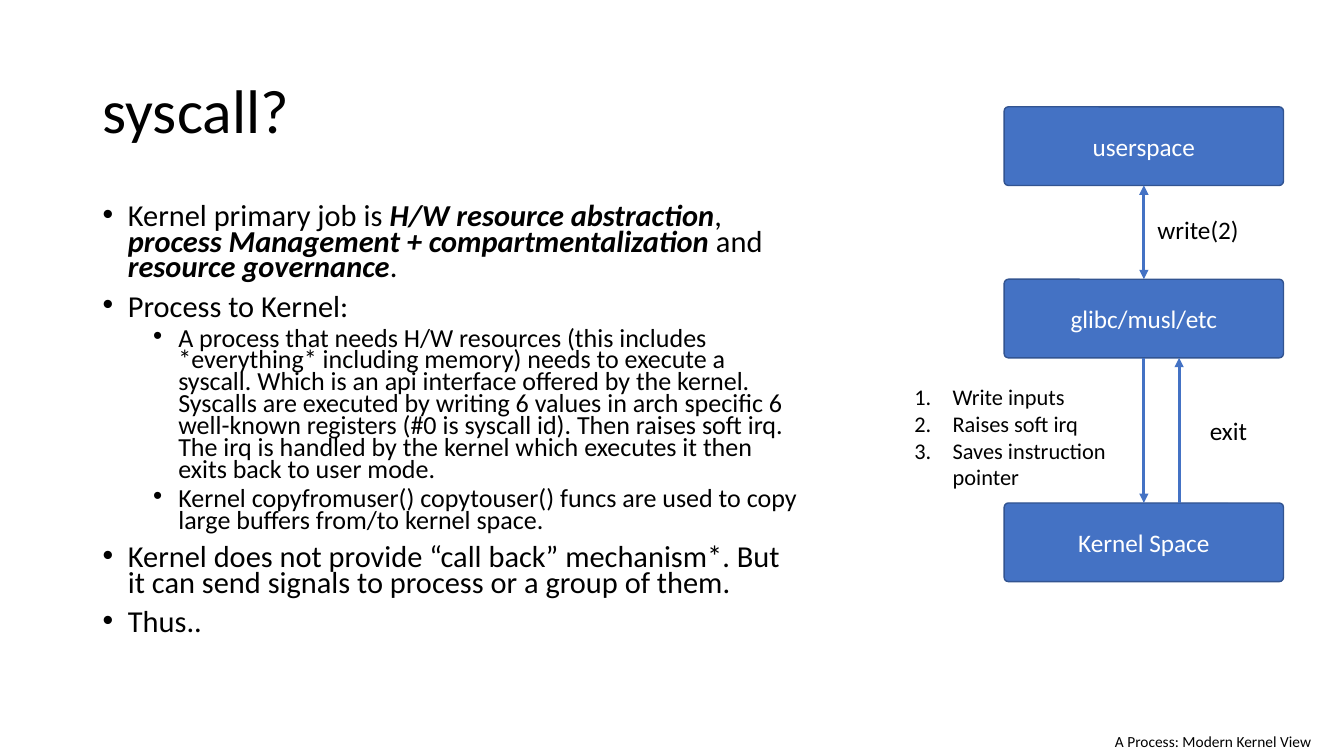
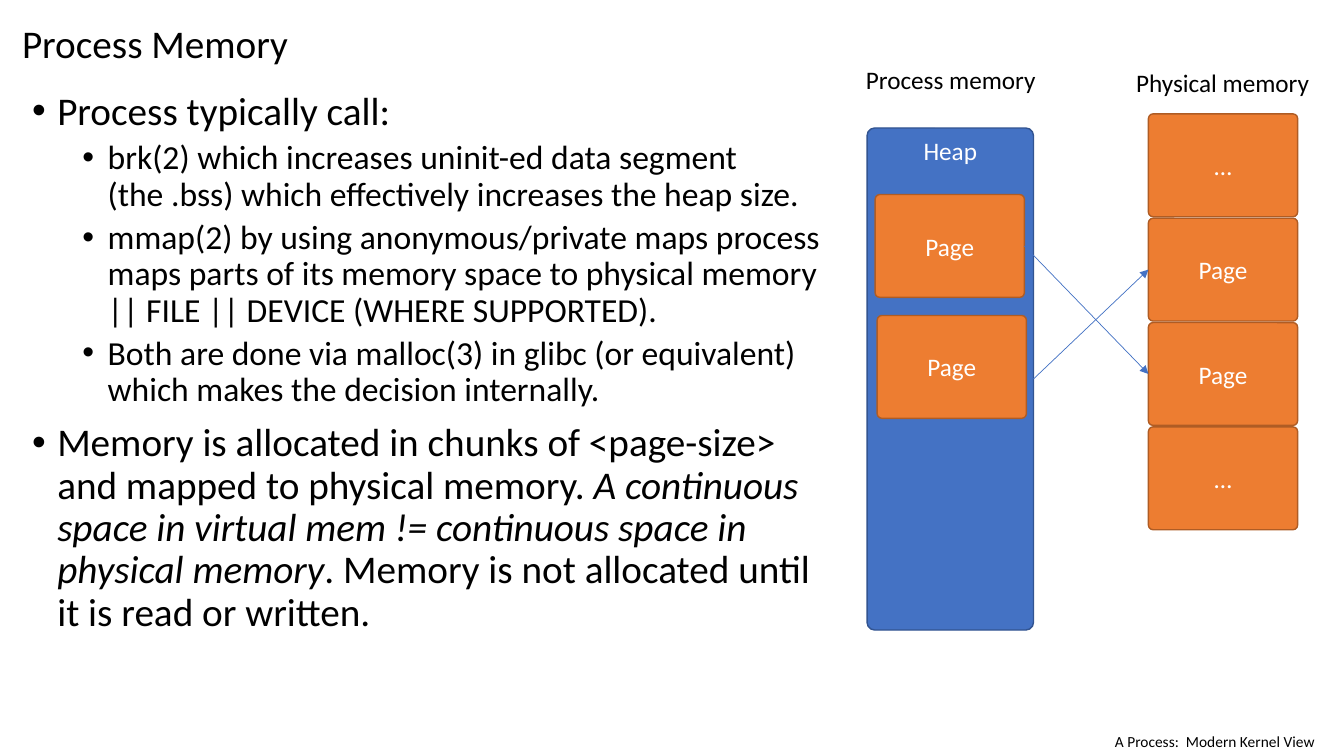
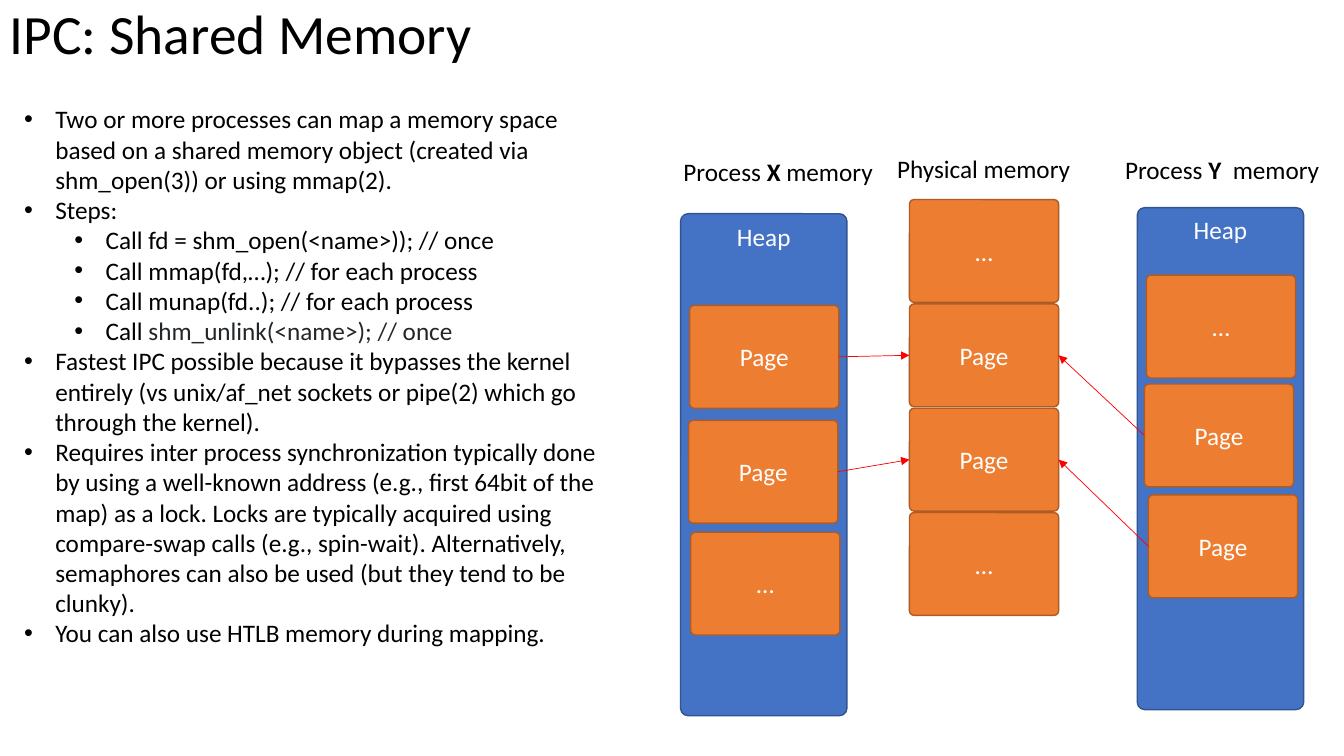
from dataclasses import dataclass

from lxml.etree import SubElement
from pptx import Presentation
from pptx.dml.color import RGBColor
from pptx.enum.shapes import MSO_CONNECTOR, MSO_SHAPE
from pptx.enum.text import MSO_ANCHOR, MSO_AUTO_SIZE, PP_ALIGN
from pptx.oxml.ns import qn
from pptx.util import Inches, Pt


@dataclass(frozen=True)
class Theme:
    """Colours and type sizes shared by all slides."""

    font: str = "Calibri"
    text: str = "000000"
    code: str = "232629"
    on_fill: str = "FFFFFF"
    blue: str = "4472C4"
    blue_edge: str = "325491"
    orange: str = "ED7D31"
    orange_edge: str = "AF5C24"
    red: str = "FF0000"
    label_size: float = 18
    step_size: float = 16
    footer_size: float = 11
    edge_width: float = 1
    thin_line: float = 0.5
    thick_line: float = 2.25


THEME = Theme()


@dataclass(frozen=True)
class Box:
    """A rectangle in inches."""

    left: float
    top: float
    width: float
    height: float

    @property
    def right_middle(self):
        """Return the middle of the right edge."""
        return self.left + self.width, self.top + self.height / 2

    @property
    def left_middle(self):
        """Return the middle of the left edge."""
        return self.left, self.top + self.height / 2

    def inner(self, across, down, width, height):
        """Return a box placed relative to this one."""
        return Box(self.left + across, self.top + down, width, height)

    def lengths(self):
        """Return the four measures as lengths."""
        return [Inches(value) for value in (self.left, self.top, self.width, self.height)]


@dataclass(frozen=True)
class Span:
    """A stretch of text with one look."""

    text: str
    bold: bool = False
    italic: bool = False
    color: str = THEME.text


@dataclass(frozen=True)
class ListStyle:
    """Sizes, spacing and indents of a list, by level."""

    sizes: tuple
    hang: float = 0.25
    line_spacing: float = 1.0
    space_before: tuple = (0, 0)
    numbered: bool = False


def fill_paragraph(para, spans, size):
    """Write spans into a paragraph."""
    for span in spans:
        span = Span(span) if isinstance(span, str) else span
        run = para.add_run()
        run.text = span.text
        run.font.name = THEME.font
        run.font.size = Pt(size)
        run.font.bold = span.bold
        run.font.italic = span.italic
        run.font.color.rgb = RGBColor.from_string(span.color)


def add_text(page, box, *spans, size=THEME.label_size, wrap=False):
    """Add a one-paragraph text box and return its frame."""
    frame = page.shapes.add_textbox(*box.lengths()).text_frame
    frame.word_wrap = wrap
    fill_paragraph(frame.paragraphs[0], spans, size)
    return frame


def add_title(page, box, text, size):
    """Add the slide title, centred vertically in its box."""
    frame = add_text(page, box, text, size=size, wrap=True)
    frame.vertical_anchor = MSO_ANCHOR.MIDDLE
    frame.paragraphs[0].line_spacing = 0.9


def add_footer(page, text):
    """Add the running line at the lower right."""
    add_text(page, Box(10.96, 7.21, 2.24, 0.29), text, size=THEME.footer_size)


def add_list(page, box, style, items):
    """Add a list of (level, spans) items."""
    frame = page.shapes.add_textbox(*box.lengths()).text_frame
    frame.word_wrap = True
    frame.auto_size = MSO_AUTO_SIZE.NONE
    for index, (level, *spans) in enumerate(items):
        para = frame.add_paragraph() if index else frame.paragraphs[0]
        para.level = level
        para.line_spacing = style.line_spacing
        para.space_before = Pt(style.space_before[level])
        fill_paragraph(para, spans, style.sizes[level])
        properties = para._p.get_or_add_pPr()
        properties.set("marL", str(Inches(style.hang + 0.5 * level)))
        properties.set("indent", str(-Inches(style.hang)))
        if style.numbered:
            SubElement(properties, qn("a:buAutoNum"), type="arabicPeriod")
        else:
            SubElement(properties, qn("a:buFont"), typeface="Arial")
            SubElement(properties, qn("a:buChar"), char="•")


def add_block(page, box, text, fill, edge, rounding=0.045, anchor=MSO_ANCHOR.MIDDLE):
    """Add a filled rounded block with centred text."""
    shape = page.shapes.add_shape(MSO_SHAPE.ROUNDED_RECTANGLE, *box.lengths())
    shape.adjustments[0] = rounding
    shape.shadow.inherit = False
    shape.fill.solid()
    shape.fill.fore_color.rgb = RGBColor.from_string(fill)
    shape.line.color.rgb = RGBColor.from_string(edge)
    shape.line.width = Pt(THEME.edge_width)
    frame = shape.text_frame
    frame.word_wrap = True
    frame.vertical_anchor = anchor
    para = frame.paragraphs[0]
    para.alignment = PP_ALIGN.CENTER
    fill_paragraph(para, [Span(text, color=THEME.on_fill)], THEME.label_size)


def add_arrow(page, start, end, color, width, both=False):
    """Add an arrow between two points."""
    points = [Inches(value) for value in (*start, *end)]
    arrow = page.shapes.add_connector(MSO_CONNECTOR.STRAIGHT, *points)
    arrow.line.color.rgb = RGBColor.from_string(color)
    arrow.line.width = Pt(width)
    properties = arrow.element.spPr
    outline = properties.find(qn("a:ln"))
    if both:
        SubElement(outline, qn("a:headEnd"), type="triangle")
    SubElement(outline, qn("a:tailEnd"), type="triangle")
    SubElement(properties, qn("a:effectLst"))


def add_memory_pages(page, box, cells):
    """Add memory pages at (across, down, text) in a box and return their boxes."""
    places = []
    for across, down, text in cells:
        place = box.inner(across, down, 1.48, 1.02)
        add_block(page, place, text, THEME.orange, THEME.orange_edge)
        places.append(place)
    return places


def add_process_memory(page, box, cells):
    """Add a heap block with its memory pages."""
    add_block(page, box, "Heap", THEME.blue, THEME.blue_edge, anchor=MSO_ANCHOR.TOP)
    return add_memory_pages(page, box, cells)


def add_physical_memory(page, box):
    """Add the captioned stack of physical memory pages."""
    add_text(page, box.inner(-0.22, -0.51, 1.93, 0.4), "Physical memory")
    names = ("…", "Page", "Page", "…")
    pitch = box.height / len(names)
    return add_memory_pages(page, box, [(0, row * pitch, name) for row, name in enumerate(names)])


def add_call_stack(page, box):
    """Add the layers from userspace to kernel with their calls."""
    layers = (("userspace", 0), ("glibc/musl/etc", 1.71), ("Kernel Space", 3.93))
    height = 0.78
    for name, down in layers:
        place = box.inner(0, down, box.width, height)
        add_block(page, place, name, THEME.blue, THEME.blue_edge, rounding=0.054)
    user, library, kernel = (box.top + down for _, down in layers)
    center = box.left + box.width / 2
    back = center + 0.35
    for start, end, both in (
        ((center, user + height), (center, library), True),
        ((center, library + height), (center, kernel), False),
        ((back, kernel), (back, library + height), False),
    ):
        add_arrow(page, start, end, THEME.blue, THEME.thick_line, both)
    add_text(page, box.inner(1.42, 1.02, 1.05, 0.4), "write(2)", wrap=True)
    add_text(page, box.inner(1.94, 3.01, 0.58, 0.4), "exit")
    add_list(
        page,
        box.inner(-0.99, 2.69, 2.28, 1.18),
        ListStyle((THEME.step_size,), hang=0.38, numbered=True),
        [(0, "Write inputs"), (0, "Raises soft irq"), (0, "Saves instruction pointer")],
    )


def build_syscall(page):
    """Build the syscall slide."""
    add_title(page, Box(0.92, 0.4, 11.5, 1.45), "syscall?", 44)
    strong = [
        Span(text, bold=True, italic=True)
        for text in (
            "H/W resource abstraction",
            "process Management + compartmentalization",
            "resource governance",
        )
    ]
    add_list(
        page,
        Box(0.92, 2, 7.12, 4.76),
        ListStyle((21.7, 18.6), line_spacing=0.7, space_before=(10, 5)),
        [
            (0, "Kernel primary job is ", strong[0], ", ", strong[1], " and ", strong[2], "."),
            (0, "Process to Kernel:"),
            (1, "A process that needs H/W resources (this includes *everything* including memory) "
                "needs to execute a syscall. Which is an api interface offered by the kernel. "
                "Syscalls are executed by writing 6 values in arch specific 6 well-known registers "
                "(#0 is syscall id). Then raises soft irq. The irq is handled by the kernel which "
                "executes it then exits back to user mode."),
            (1, "Kernel copyfromuser() copytouser() funcs are used to copy large buffers from/to "
                "kernel space."),
            (0, "Kernel does not provide “call back” mechanism*. But it can send signals to "
                "process or a group of them."),
            (0, "Thus.."),
        ],
    )
    add_call_stack(page, Box(9.96, 1.06, 2.77, 4.71))
    add_footer(page, "A Process: Modern Kernel View")


def build_process_memory(page):
    """Build the process memory slide."""
    add_title(page, Box(0.12, 0.16, 4.91, 0.58), "Process Memory", 28)
    add_list(
        page,
        Box(0.22, 0.86, 8.1, 5.9),
        ListStyle((28, 24), line_spacing=0.9, space_before=(10, 5)),
        [
            (0, "Process typically call:"),
            (1, "brk(2) which increases uninit-ed data segment (the .bss) which effectively "
                "increases the heap size."),
            (1, "mmap(2) by using anonymous/private maps process maps parts of its memory space "
                "to physical memory || FILE || DEVICE (WHERE SUPPORTED)."),
            (1, "Both are done via malloc(3) in glibc (or equivalent) which makes the decision "
                "internally."),
            (0, "Memory is allocated in chunks of <page-size> and mapped to physical memory. ",
             Span("A continuous space in virtual mem != continuous space in physical memory",
                  italic=True),
             ". Memory is not allocated until it is read or written."),
        ],
    )
    heap = Box(8.6, 1.27, 1.65, 4.98)
    add_text(page, Box(8.49, 0.59, 1.9, 0.4), "Process memory")
    virtual = add_process_memory(page, heap, [(0.08, 0.66, "Page"), (0.1, 1.86, "Page")])
    physical = add_physical_memory(page, Box(11.39, 1.13, 1.48, 4.14))
    for source, target in ((virtual[0], physical[2]), (heap, physical[1])):
        add_arrow(page, source.right_middle, target.left_middle, THEME.blue, THEME.thin_line)
    add_footer(page, "A Process:  Modern Kernel View")


def build_shared_memory(page):
    """Build the shared memory slide."""
    add_title(page, Box(0, 0.05, 11.5, 0.63), "IPC: Shared Memory", 39.6)
    add_list(
        page,
        Box(0.14, 0.98, 5.99, 5.86),
        ListStyle((18, 18), hang=0.31),
        [
            (0, "Two or more processes can map a memory space based on a shared memory object "
                "(created via shm_open(3)) or using mmap(2)."),
            (0, "Steps:"),
            (1, "Call fd = shm_open(<name>)); // once"),
            (1, "Call mmap(fd,…); // for each process"),
            (1, "Call munap(fd..); // for each process"),
            (1, "Call ", Span("shm_unlink(<name>); // once", color=THEME.code)),
            (0, "Fastest IPC possible because it bypasses the kernel entirely (vs unix/af_net "
                "sockets or pipe(2) which go through the kernel)."),
            (0, "Requires inter process synchronization typically done by using a well-known "
                "address (e.g., first 64bit of the map) as a lock. Locks are typically acquired "
                "using compare-swap calls (e.g., spin-wait). Alternatively, semaphores can also "
                "be used (but they tend to be clunky)."),
            (0, "You can also use HTLB memory during mapping."),
        ],
    )
    add_text(page, Box(6.68, 1.5, 2.09, 0.4), "Process ", Span("X", bold=True), " memory")
    add_text(page, Box(11.06, 1.48, 2.14, 0.4), "Process ", Span("Y", bold=True), "  memory")
    first = add_process_memory(
        page,
        Box(6.75, 2.12, 1.65, 4.98),
        [(0.09, 0.91, "Page"), (0.08, 2.05, "Page"), (0.1, 3.16, "…")],
    )
    second = add_process_memory(
        page,
        Box(11.28, 2.06, 1.65, 4.98),
        [(0.09, 0.67, "…"), (0.07, 1.75, "Page"), (0.11, 2.85, "Page")],
    )
    shared = add_physical_memory(page, Box(9.02, 1.98, 1.48, 4.14))[1:3]
    for left, middle, right in zip(first[:2], shared, second[1:]):
        add_arrow(page, left.right_middle, middle.left_middle, THEME.red, THEME.thin_line)
        add_arrow(page, right.left_middle, middle.right_middle, THEME.red, THEME.thin_line)


def main():
    """Build and save the deck."""
    deck = Presentation()
    deck.slide_width = Inches(13.33)
    deck.slide_height = Inches(7.5)
    for build in (build_syscall, build_process_memory, build_shared_memory):
        build(deck.slides.add_slide(deck.slide_layouts[6]))
    deck.save("out.pptx")


if __name__ == "__main__":
    main()
